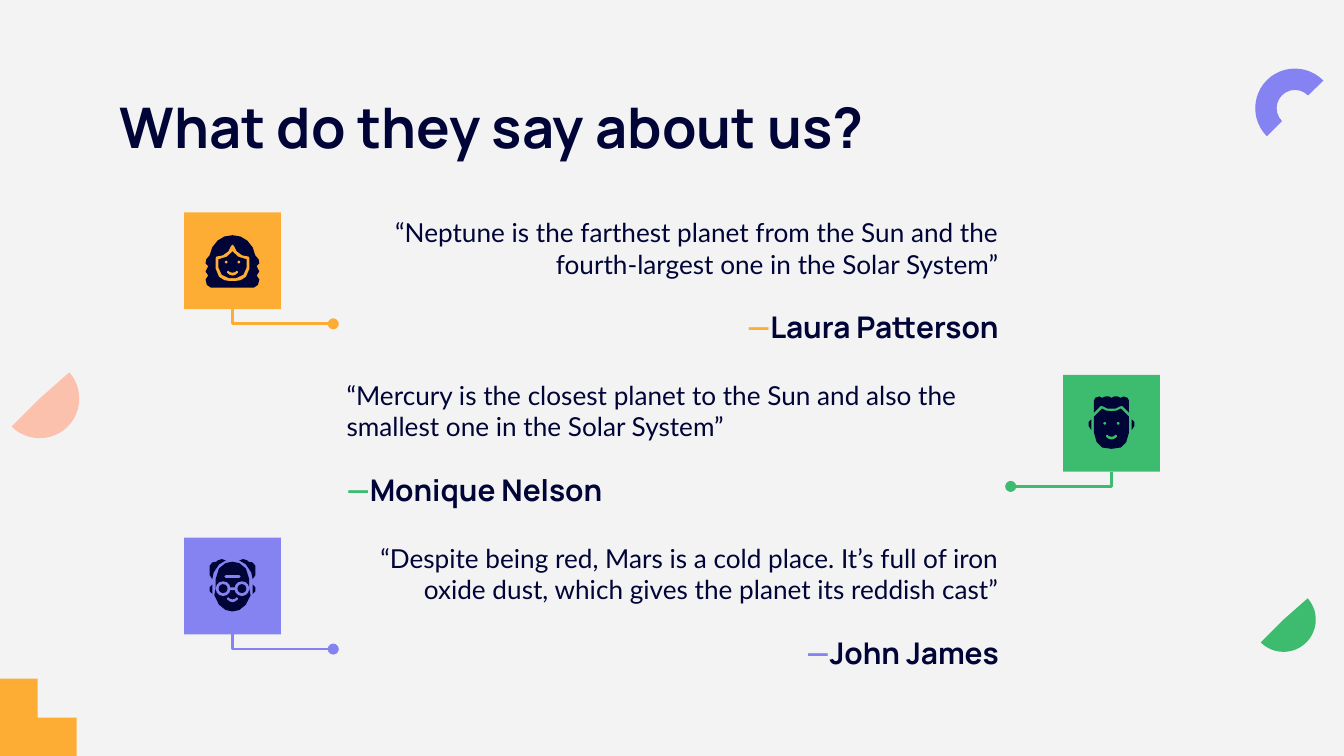
from lxml import etree
from pptx import Presentation
from pptx.dml.color import RGBColor
from pptx.enum import shapes, text
from pptx.oxml.ns import qn
from pptx.util import Inches, Pt

NAVY = RGBColor(0x00, 0x04, 0x36)
ORANGE = RGBColor(0xFE, 0xAD, 0x34)
GREEN = RGBColor(0x3D, 0xBC, 0x6F)
VIOLET = RGBColor(0x85, 0x83, 0xF2)
PEACH = RGBColor(0xFC, 0xC1, 0xAD)
PAPER = RGBColor(0xF3, 0xF3, 0xF3)
SHAPE = shapes.MSO_SHAPE
LEFT, RIGHT = text.PP_ALIGN.LEFT, text.PP_ALIGN.RIGHT
TILE = 0.72

prs = Presentation()
prs.slide_width, prs.slide_height = Inches(10), Inches(10) * 9 // 16
s = prs.slides.add_slide(prs.slide_layouts[5])
s.background.fill.solid()
s.background.fill.fore_color.rgb = PAPER


def paint(sp, color):
    sp.fill.solid()
    sp.fill.fore_color.rgb = color
    sp.line.fill.background()
    sp.shadow.inherit = False


def add_text(x, y, w, h, runs, align, anchor, size, font, bold, box=None):
    sp = box or s.shapes.add_textbox(0, 0, 0, 0)
    sp.left, sp.top, sp.width, sp.height = [Inches(v) for v in (x, y, w, h)]
    tf = sp.text_frame
    tf.word_wrap = True
    tf.auto_size = text.MSO_AUTO_SIZE.NONE
    tf.margin_left = tf.margin_right = tf.margin_top = tf.margin_bottom = Inches(0.1)
    tf.vertical_anchor = anchor
    p = tf.paragraphs[0]
    p.alignment = align
    for content, color in runs:
        r = p.add_run()
        r.text = content
        r.font.size, r.font.name, r.font.bold = Pt(size), font, bold
        r.font.color.rgb = color


decorations = [
    (SHAPE.BLOCK_ARC, 9.34, 0.51, 0.59, 315, (108, 0.54, 0.27), VIOLET),
    (SHAPE.CORNER, -0.01, 5.05, 0.58, 0, (0.5, 0.5), ORANGE),
    (SHAPE.PIE, 0, 2.67, 0.59, 225, (56.12, 162), PEACH),
    (SHAPE.PIE, 9.31, 4.37, 0.48, 225, (56.12, 162), GREEN),
]
for kind, x, y, size, angle, adjustments, color in decorations:
    sp = s.shapes.add_shape(kind, Inches(x), Inches(y), Inches(size), Inches(size))
    sp.rotation = angle
    for i, value in enumerate(adjustments):
        sp.adjustments[i] = value
    paint(sp, color)

add_text(0.79, 0.59, 8.43, 0.63, [("What do they say about us?", NAVY)],
         LEFT, text.MSO_ANCHOR.TOP, 30, "Manrope", True, s.shapes.title)

smile = [(0, 46), (2, 45.5), (3, 44.5), (4, 45), (4, 46), (2, 47.5), (0, 48)]
woman = [
    (NAVY, [(0, 17), (6, 18), (11, 21), (15, 26), (17, 32), (19.5, 35), (20, 38),
            (18, 40), (20, 44), (18, 47), (20, 50), (19, 54), (16, 56), (0, 56)]),
    (ORANGE, [(0, 24), (1, 25), (3, 29), (7, 32), (12, 33), (12.5, 34), (12.5, 42),
              (10, 48), (6, 50.5), (2.5, 51), (0, 51)]),
    (NAVY, [(0, 29), (4, 33), (10.5, 35), (10.5, 41), (8, 46.5), (2.5, 49), (0, 49)]),
    (ORANGE, [(dx, dy - 1) for dx, dy in smile]),
]
man = [
    (NAVY, [(0, 17), (2, 16), (4.5, 16), (7, 17), (9, 16), (12, 17), (13, 19),
            (13, 28), (8, 23), (6, 23.5), (3, 25), (0, 25)]),
    (NAVY, [(0, 27), (4, 26.5), (7, 25), (13, 31), (13, 43), (11, 50), (7, 54), (0, 55)]),
    (NAVY, [(15, 33), (17, 35), (17, 38), (15, 41)]),
    (GREEN, smile),
]
elder = [
    (NAVY, [(0, 18), (5, 19), (10, 23), (12.5, 31), (12.5, 38), (13.5, 43),
            (10, 50), (5, 54), (0, 55)]),
    (NAVY, [(5, 17), (8, 16), (11, 17), (12, 18), (15, 18.5), (17, 21), (17, 28),
            (15, 31), (14, 26), (10, 20)]),
    (NAVY, [(15, 35), (17, 37), (17, 40), (15, 42)]),
    (VIOLET, [(0, 28), (5, 28), (6, 29), (5, 30), (0, 30)]),
    (VIOLET, [(0, 37), (2, 37), (2, 39), (0, 39)]),
    (VIOLET, smile),
]

quotes = [
    ("Laura Patterson", "“Neptune is the farthest planet from the Sun and the "
     "fourth-largest one in the Solar System”", ORANGE, 1.37, RIGHT, woman,
     [(ORANGE, 4.7, 37, 1)]),
    ("Monique Nelson", "“Mercury is the closest planet to the Sun and also the "
     "smallest one in the Solar System”", GREEN, 7.91, LEFT, man,
     [(GREEN, 5, 36, 1)]),
    ("John James", "“Despite being red, Mars is a cold place. It’s full of iron "
     "oxide dust, which gives the planet its reddish cast”", VIOLET, 1.37, RIGHT, elder,
     [(VIOLET, 7, 38, 5.5), (NAVY, 7, 38, 3.3)]),
]
for row, (name, quote, color, x, align, outlines, dots) in enumerate(quotes):
    y = 1.58 + row * 1.21
    add_text(2.48, y, 5.05, 0.6, [(quote, NAVY)], align,
             text.MSO_ANCHOR.BOTTOM, 14, "Lato", False)
    add_text(2.48, y + 0.62, 5.05, 0.42, [("—", color), (name, NAVY)], align,
             text.MSO_ANCHOR.TOP, 16, "Manrope", True)
    tile = s.shapes.add_shape(SHAPE.RECTANGLE, Inches(x), Inches(y), Inches(TILE), Inches(TILE))
    paint(tile, color)

    center = x + TILE / 2
    for fill, half in outlines:
        mirror = [(-dx, dy) for dx, dy in reversed(half)]
        for outline in [half + mirror] if half[0][0] == 0 else [half, mirror]:
            points = [(Inches(center + dx / 100), Inches(y + dy / 100)) for dx, dy in outline]
            builder = s.shapes.build_freeform(*points[0])
            builder.add_line_segments(points[1:])
            paint(builder.convert_to_shape(), fill)
    for fill, dx, dy, radius in dots:
        for side in (-1, 1):
            sp = s.shapes.add_shape(
                SHAPE.OVAL, Inches(center + (side * dx - radius) / 100),
                Inches(y + (dy - radius) / 100), Inches(radius / 50), Inches(radius / 50))
            paint(sp, fill)

    dot_x = 2.48 if align == RIGHT else 7.52
    line = s.shapes.add_connector(shapes.MSO_CONNECTOR.ELBOW, Inches(dot_x), Inches(y + 0.83),
                                  Inches(center), Inches(y + TILE))
    line.end_connect(tile, 2)
    line.line.color.rgb = color
    line.line.width = Pt(1.5)
    spPr = line._element.spPr
    spPr.find(qn("a:prstGeom")).set("prst", "bentConnector2")
    etree.SubElement(spPr.find(qn("a:ln")), qn("a:headEnd")).set("type", "oval")
    etree.SubElement(spPr, qn("a:effectLst"))

prs.save("out.pptx")
